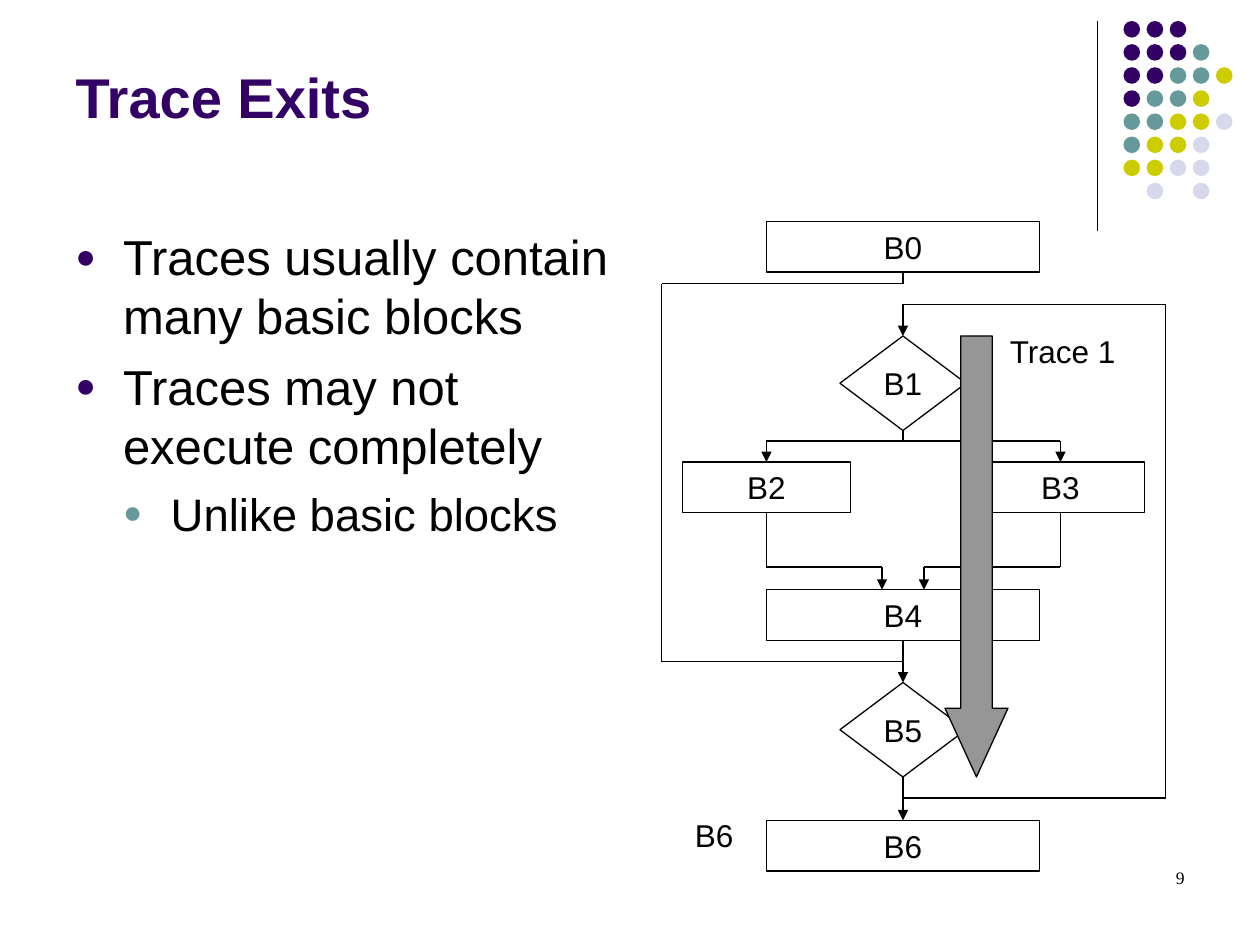
from lxml import etree
from pptx import Presentation
from pptx.dml.color import RGBColor
from pptx.enum import shapes, text
from pptx.oxml import ns
from pptx.util import Pt

COLORS = {
    "black": "000000",
    "purple": "330066",
    "teal": "669999",
    "olive": "CCCC00",
    "lilac": "D8D8EC",
    "gray": "969696",
}
DOT_COLORS = {"P": "purple", "T": "teal", "O": "olive", "L": "lilac"}
DOT_ROWS = ["PPP", "PPPT", "PPTTO", "PTTO", "TTOOL", "TOOL", "OOLL", " L L"]


def color(name):
    return RGBColor.from_string(COLORS[name])


def add_child(parent, tag, **attributes):
    return etree.SubElement(parent, ns.qn(tag), attributes)


def write(paragraph, content, size=18, font="Arial", fill="black", bold=False,
          align=text.PP_ALIGN.LEFT, before=0):
    paragraph.text = content
    paragraph.alignment = align
    paragraph.space_before = Pt(before)
    paragraph.font.size = Pt(size)
    paragraph.font.name = font
    paragraph.font.bold = bold
    paragraph.font.color.rgb = color(fill)


def add_bullet(paragraph, fill, level):
    paragraph.level = level
    properties = paragraph._p.get_or_add_pPr()
    properties.set("marL", str(Pt(27.25 * (level + 1))))
    properties.set("indent", str(-Pt(27.25)))
    bullet_color = add_child(properties, "a:buClr")
    add_child(bullet_color, "a:srgbClr", val=COLORS[fill])
    add_child(properties, "a:buSzPct", val="70000")
    add_child(properties, "a:buFont", typeface="Arial")
    add_child(properties, "a:buChar", char="●")


class SlideBuilder:
    def __init__(self, slide, line_width=0.75):
        self.slide = slide
        self.line_width = Pt(line_width)

    def title(self, content, left, top, width, height):
        title = self.slide.shapes.title
        title.left, title.top = Pt(left), Pt(top)
        title.width, title.height = Pt(width), Pt(height)
        frame = title.text_frame
        frame.auto_size = text.MSO_AUTO_SIZE.NONE
        frame.vertical_anchor = text.MSO_ANCHOR.BOTTOM
        write(frame.paragraphs[0], content, size=32, fill="purple", bold=True)

    def textbox(self, left, top, width, height):
        box = self.slide.shapes.add_textbox(
            Pt(left), Pt(top), Pt(width), Pt(height))
        box.text_frame.word_wrap = True
        return box.text_frame

    def label(self, content, left, top, width, height, **style):
        frame = self.textbox(left, top, width, height)
        write(frame.paragraphs[0], content, **style)

    def bullets(self, items, left, top, width, height):
        frame = self.textbox(left, top, width, height)
        for index, (content, level, size, before, fill) in enumerate(items):
            paragraph = frame.add_paragraph() if index else frame.paragraphs[0]
            add_bullet(paragraph, fill, level)
            write(paragraph, content, size=size, before=before)

    def shape(self, kind, left, top, width, height, fill=None, outline=True):
        shape = self.slide.shapes.add_shape(
            kind, Pt(left), Pt(top), Pt(width), Pt(height))
        shape.shadow.inherit = False
        if fill:
            shape.fill.solid()
            shape.fill.fore_color.rgb = color(fill)
        else:
            shape.fill.background()
        if outline:
            shape.line.color.rgb = color("black")
            shape.line.width = self.line_width
        else:
            shape.line.fill.background()
        return shape

    def block(self, content, center, top, width, height=29,
              kind=shapes.MSO_SHAPE.RECTANGLE):
        block = self.shape(kind, center - width / 2, top, width, height)
        frame = block.text_frame
        frame.margin_left = frame.margin_right = 0
        frame.margin_top = frame.margin_bottom = 0
        frame.vertical_anchor = text.MSO_ANCHOR.MIDDLE
        write(frame.paragraphs[0], content, align=text.PP_ALIGN.CENTER)
        return block

    def decision(self, content, center, top):
        return self.block(content, center, top, 72, 54, shapes.MSO_SHAPE.DIAMOND)

    def line(self, begin, end, arrow=False):
        line = self.slide.shapes.add_connector(
            shapes.MSO_CONNECTOR.STRAIGHT, *map(Pt, (*begin, *end)))
        line.line.color.rgb = color("black")
        line.line.width = self.line_width
        if arrow:
            add_child(line.line._get_or_add_ln(), "a:tailEnd", type="triangle")
        add_child(line._element.spPr, "a:effectLst")
        return line

    def route(self, *points, source=None, target=None, arrow=True):
        points = list(points)
        if source is not None:
            points.insert(0, ((source.left + source.width / 2) / Pt(1),
                              (source.top + source.height) / Pt(1)))
        if target is not None:
            points.append(((target.left + target.width / 2) / Pt(1),
                           target.top / Pt(1)))
        last = len(points) - 2
        for index, (begin, end) in enumerate(zip(points, points[1:])):
            line = self.line(begin, end, arrow and index == last)
            if source is not None and index == 0:
                line.begin_connect(source, 2)
            if target is not None and index == last:
                line.end_connect(target, 0)

    def dots(self, rows, left, top, pitch, diameter):
        for row, codes in enumerate(rows):
            for column, code in enumerate(codes):
                if code in DOT_COLORS:
                    self.shape(shapes.MSO_SHAPE.OVAL, left + column * pitch,
                               top + row * pitch, diameter, diameter,
                               fill=DOT_COLORS[code], outline=False)


def main():
    presentation = Presentation()
    presentation.slide_width, presentation.slide_height = Pt(720), Pt(540)
    slide = presentation.slides.add_slide(presentation.slide_layouts[5])
    builder = SlideBuilder(slide)

    builder.line((627, 12), (627, 132))
    builder.dots(DOT_ROWS, left=642, top=12, pitch=13.2, diameter=9.5)
    builder.title("Trace Exits", 36, 9.5, 594, 68.5)
    builder.bullets([
        ("Traces usually contain many basic blocks", 0, 28, 0, "purple"),
        ("Traces may not execute completely", 0, 28, 7, "purple"),
        ("Unlike basic blocks", 1, 26, 6.5, "teal"),
    ], 36, 126, 330, 347)

    middle, left_branch, right_branch = 516, 438, 606
    b0 = builder.block("B0", middle, 126.5, 156)
    b1 = builder.decision("B1", middle, 192)
    b2 = builder.block("B2", left_branch, 264, 96)
    b3 = builder.block("B3", right_branch, 264, 96)
    b4 = builder.block("B4", middle, 337, 156)
    b5 = builder.decision("B5", middle, 390)
    b6 = builder.block("B6", middle, 468.75, 156)

    builder.route((middle, 162), (378, 162), (378, 378), (middle, 378),
                  source=b0, arrow=False)
    builder.route((middle, 456), (666, 456), (666, 174), (middle, 174),
                  target=b1)
    builder.route((middle, 252), source=b1, arrow=False)
    for branch, block, entry in ((left_branch, b2, 504),
                                 (right_branch, b3, 528)):
        builder.route((middle, 252), (branch, 252), target=block)
        builder.route((branch, 324), (entry, 324), (entry, 337), source=block)
    builder.route(source=b4, target=b5)
    builder.route(source=b5, target=b6)

    builder.label("B6", 390, 463, 44, 29)
    builder.label("Trace 1", 570, 186, 84, 29)
    trace = builder.shape(shapes.MSO_SHAPE.DOWN_ARROW, 540, 192, 36, 252,
                          fill="gray")
    trace.adjustments[0] = 0.5
    trace.adjustments[1] = 1.09
    builder.label("9", 516, 492, 168, 36, size=10, font="Times New Roman",
                  align=text.PP_ALIGN.RIGHT)

    presentation.save("out.pptx")


if __name__ == "__main__":
    main()
